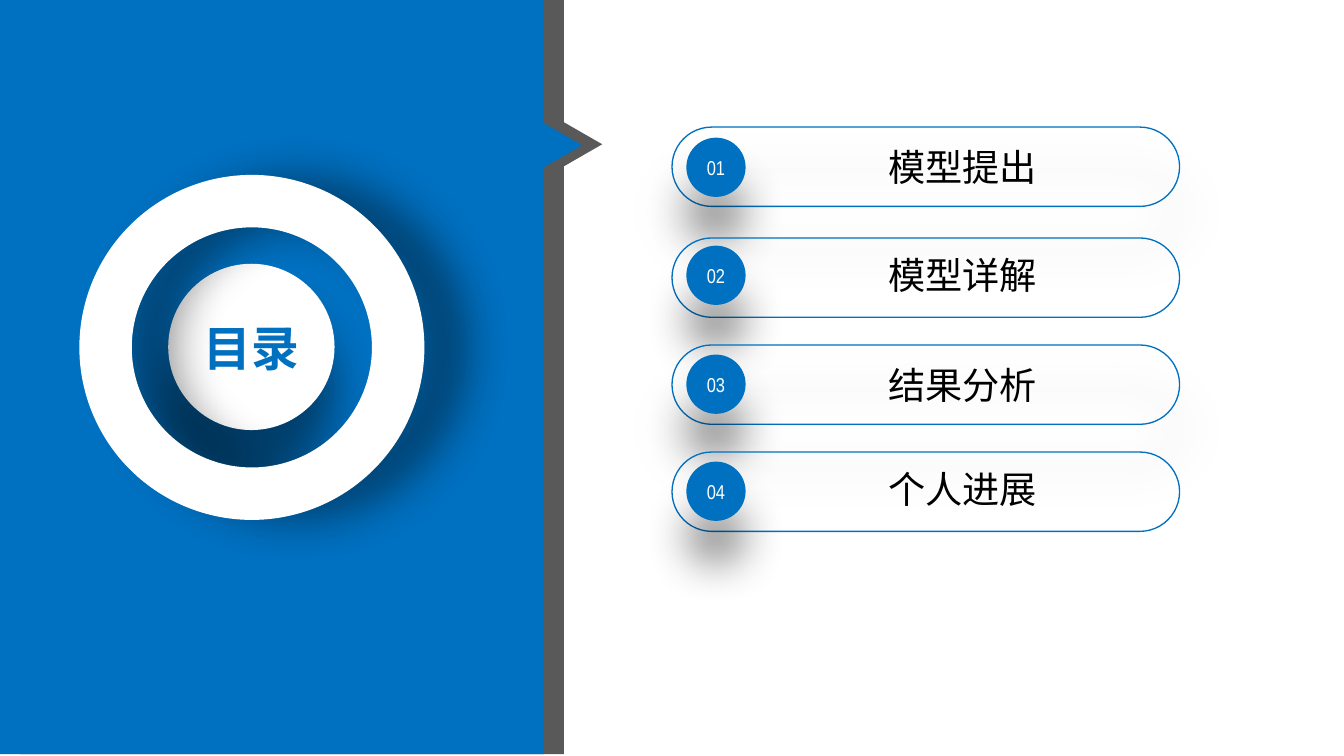
from lxml import etree
from pptx import Presentation
from pptx.dml.color import RGBColor
from pptx.enum.shapes import MSO_SHAPE
from pptx.enum.text import MSO_ANCHOR, MSO_AUTO_SIZE, PP_ALIGN
from pptx.oxml.ns import qn
from pptx.util import Pt

ELLIPSE = MSO_SHAPE.OVAL
PILL = MSO_SHAPE.ROUNDED_RECTANGLE
RECTANGLE = MSO_SHAPE.RECTANGLE
TRIANGLE = MSO_SHAPE.ISOSCELES_TRIANGLE
DONUT = MSO_SHAPE.DONUT
MIDDLE = MSO_ANCHOR.MIDDLE
CENTER = PP_ALIGN.CENTER
GROW = MSO_AUTO_SIZE.SHAPE_TO_FIT_TEXT

BLUE = RGBColor(0x00, 0x70, 0xC0)
GRAY = RGBColor(0x59, 0x59, 0x59)
WHITE = RGBColor(0xFF, 0xFF, 0xFF)
BLACK = RGBColor(0x00, 0x00, 0x00)

EMU_PER_PX = 9144
SLIDE_WIDTH, SLIDE_HEIGHT = 1406, 791
NARROW, SERIF = "Arial Narrow", "Times New Roman"
DOWN, RIGHT = 90, 0

AGENDA = [
    ("01", "模型提出", NARROW, 133, 144, 151, True),
    ("02", "模型详解", SERIF, 249, 257, 264, False),
    ("03", "结果分析", NARROW, 361, 371, 379, True),
    ("04", "个人进展", NARROW, 473, 483, 488, False),
]


def px(value):
    return value * EMU_PER_PX


class SlideBuilder:
    def __init__(self, slide):
        self.slide = slide

    def shape(self, kind, left, top, width, height, fill=None, line=None):
        shape = self.slide.shapes.add_shape(kind, px(left), px(top), px(width), px(height))
        shape.shadow.inherit = False
        if fill is None:
            shape.fill.background()
        else:
            shape.fill.solid()
            shape.fill.fore_color.rgb = fill
        if line is None:
            shape.line.fill.background()
        else:
            shape.line.color.rgb = line
            shape.line.width = Pt(1)
        return shape

    def shadow(self, shape, direction, opacity=43):
        effects = shape._element.spPr.find(qn("a:effectLst"))
        shadow = etree.SubElement(effects, qn("a:outerShdw"))
        shadow.set("blurRad", str(Pt(33)))
        shadow.set("dist", str(Pt(33)))
        shadow.set("dir", str(direction * 60000))
        shadow.set("algn", "ctr")
        shadow.set("rotWithShape", "0")
        color = etree.SubElement(shadow, qn("a:srgbClr"), val=str(BLACK))
        etree.SubElement(color, qn("a:alpha"), val=str(opacity * 1000))

    def text(self, shape, words, size, color, font=NARROW, bold=False, inset=(8, 4)):
        frame = shape.text_frame
        frame.word_wrap = True
        frame.vertical_anchor = MIDDLE
        frame.margin_left = frame.margin_right = px(inset[0])
        frame.margin_top = frame.margin_bottom = px(inset[1])
        paragraph = frame.paragraphs[0]
        paragraph.alignment = CENTER
        run = paragraph.add_run()
        run.text = words
        run.font.size = Pt(size)
        run.font.name = font
        run.font.bold = bold
        run.font.color.rgb = color

    def disc(self, left, top, diameter, fill, words, size, color, bold=False):
        disc = self.shape(ELLIPSE, left, top, diameter, diameter, fill)
        self.shadow(disc, DOWN)
        self.text(disc, words, size, color, bold=bold)

    def label(self, left, top, width, height, words, font):
        label = self.slide.shapes.add_textbox(px(left), px(top), px(width), px(height))
        self.text(label, words, 28, BLACK, font, inset=(0, 0))
        label.text_frame.auto_size = GROW

    def agenda_row(self, number, title, font, pill_top, disc_top, label_top, shaded):
        pill = self.shape(PILL, 703, pill_top, 531, 83, line=BLUE)
        pill.adjustments[0] = 0.5
        if shaded:
            self.shadow(pill, DOWN)
        self.disc(718, disc_top, 62, BLUE, number, 15.1, WHITE)
        self.label(822, label_top, 370, 47, title, font)

    def panel(self, left, arrow_top, color):
        arrow = self.shape(TRIANGLE, left + 566, arrow_top, 46, 40, color)
        arrow.rotation = 90
        self.shape(RECTANGLE, left, -2, 569, SLIDE_HEIGHT, color)

    def ring(self, left, top, diameter):
        ring = self.shape(DONUT, left, top, diameter, diameter, WHITE)
        ring.adjustments[0] = 0.152
        self.shadow(ring, RIGHT, 40)


def main():
    presentation = Presentation()
    presentation.slide_width = px(SLIDE_WIDTH)
    presentation.slide_height = px(SLIDE_HEIGHT)
    builder = SlideBuilder(presentation.slides.add_slide(presentation.slide_layouts[6]))
    for row in AGENDA:
        builder.agenda_row(*row)
    builder.panel(21, 131, GRAY)
    builder.panel(0, 132, BLUE)
    builder.disc(176, 276, 174, WHITE, "目录", 36, BLUE, bold=True)
    builder.ring(83, 183, 361)
    presentation.save("out.pptx")


if __name__ == "__main__":
    main()
